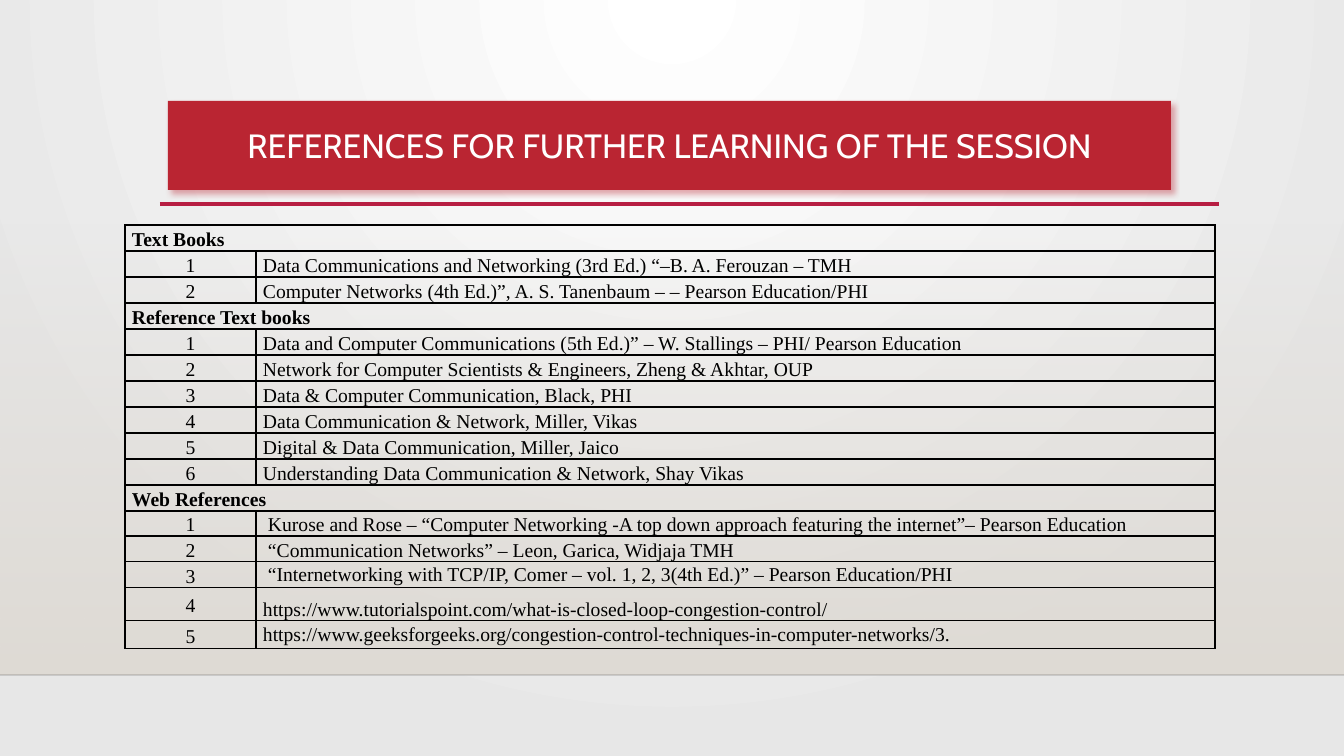
"""Build the slide that lists references for further learning."""
from pptx import Presentation
from pptx.dml.color import RGBColor
from pptx.enum.shapes import MSO_CONNECTOR, MSO_SHAPE
from pptx.enum.text import MSO_ANCHOR, MSO_AUTO_SIZE, PP_ALIGN
from pptx.oxml import parse_xml
from pptx.oxml.ns import nsdecls, qn
from pptx.util import Emu, Pt

WHITE = RGBColor(0xFF, 0xFF, 0xFF)
BLACK = RGBColor(0, 0, 0)
NEAR_BLACK = RGBColor(0, 0, 1)
SILVER = RGBColor(0xE7, 0xE7, 0xE7)
SAND = RGBColor(0xDF, 0xDB, 0xD5)
RED = RGBColor(0xBA, 0x25, 0x32)
CRIMSON = RGBColor(0xB7, 0x1E, 0x42)

DOWNWARD = '<a:lin ang="5400000" scaled="0"/>'
FROM_TOP = '<a:path path="circle"><a:fillToRect l="43000" t="0" r="43000" b="100000"/></a:path>'

SECTIONS = {
    "Text Books": [
        "Data Communications and Networking (3rd Ed.) “–B. A. Ferouzan – TMH",
        "Computer Networks (4th Ed.)”, A. S. Tanenbaum – – Pearson Education/PHI",
    ],
    "Reference Text books": [
        "Data and Computer Communications (5th Ed.)” – W. Stallings – PHI/ Pearson Education",
        "Network for Computer Scientists & Engineers, Zheng & Akhtar, OUP",
        "Data & Computer Communication, Black, PHI",
        "Data Communication & Network, Miller, Vikas",
        "Digital & Data Communication, Miller, Jaico",
        "Understanding Data Communication & Network, Shay Vikas",
    ],
    "Web References": [
        "Kurose and Rose – “Computer Networking -A top down approach featuring the internet”– Pearson Education",
        "“Communication Networks” – Leon, Garica, Widjaja TMH",
        "“Internetworking with TCP/IP, Comer – vol. 1, 2, 3(4th Ed.)” – Pearson Education/PHI",
        "https://www.tutorialspoint.com/what-is-closed-loop-congestion-control/",
        "https://www.geeksforgeeks.org/congestion-control-techniques-in-computer-networks/3.",
    ],
}
ROW_HEIGHTS = [26] * 11 + [25, 26, 26, 33, 28]
COLUMN_WIDTHS = [131, 959]
NORMAL = {"line_spacing": 1.15, "space_after": Pt(10)}
SPACING = {13: {}, 14: {"line_spacing": 1.5}, 15: {}}
INDENTED_ROWS = (11, 12, 13)


def px(*lengths):
    """Turn pixel lengths into EMU."""
    return [Emu(round(length * 914400 / 100.8)) for length in lengths]


def assign(target, values):
    """Set every attribute named in values on target."""
    for name, value in values.items():
        setattr(target, name, value)


class SlideBuilder:
    """Holds the style and the page, and adds each kind of element."""

    heading_font = {"name": "Cabin", "size": Pt(24), "bold": False}
    table_font = {"name": "Times New Roman", "size": Pt(14)}

    def __init__(self, deck):
        """Add a title-only page to the deck."""
        self.page = deck.slides.add_slide(deck.slide_layouts[5])

    def paragraph(self, frame, text, color, font, layout):
        """Put one formatted paragraph into a text frame."""
        para = frame.paragraphs[0]
        assign(para, layout)
        span = para.add_run()
        span.text = text
        assign(span.font, font)
        span.font.color.rgb = color

    def gradient(self, parent, stops, direction):
        """Put a gradient in place of the empty fill of parent."""
        marks = "".join(
            f'<a:gs pos="{place}"><a:srgbClr val="{color}"><a:alpha val="{alpha}"/></a:srgbClr></a:gs>'
            for place, color, alpha in stops)
        fill = parse_xml(f'<a:gradFill {nsdecls("a")} rotWithShape="1">'
                         f'<a:gsLst>{marks}</a:gsLst>{direction}</a:gradFill>')
        parent.replace(parent.find(qn("a:noFill")), fill)

    def background(self, inner, outer):
        """Paint the page with a radial gradient."""
        self.page.background.fill.background()
        parent = self.page.element.xpath(".//p:bgPr")[0]
        self.gradient(parent, [(0, inner, 100000), (100000, outer, 100000)], FROM_TOP)

    def panel(self, left, top, width, height, color):
        """Add a rectangle that fades in downwards."""
        box = self.page.shapes.add_shape(MSO_SHAPE.RECTANGLE, *px(left, top, width, height))
        box.shadow.inherit = False
        box.fill.background()
        box.line.fill.background()
        self.gradient(box.element.spPr, [(0, color, 0), (100000, color, 100000)], DOWNWARD)

    def rule(self, left, right, y, color, width, alpha=100):
        """Add a horizontal line."""
        line = self.page.shapes.add_connector(MSO_CONNECTOR.STRAIGHT, *px(left, y, right, y))
        line.line.width = Pt(width)
        line.line.color.rgb = color
        shade = line.element.spPr.find(".//" + qn("a:srgbClr"))
        shade.append(parse_xml(f'<a:alpha {nsdecls("a")} val="{alpha * 1000}"/>'))
        line.element.spPr.append(parse_xml(f'<a:effectLst {nsdecls("a")}/>'))

    def title(self, text, left, top, width, height, color):
        """Turn the title placeholder into a rounded banner."""
        banner = self.page.shapes.title
        assign(banner, dict(zip(("left", "top", "width", "height"), px(left, top, width, height))))
        properties = banner.element.spPr
        properties.append(parse_xml(
            f'<a:prstGeom {nsdecls("a")} prst="roundRect"><a:avLst/></a:prstGeom>'))
        banner.fill.solid()
        banner.fill.fore_color.rgb = color
        banner.line.fill.background()
        properties.append(parse_xml(
            f'<a:effectLst {nsdecls("a")}><a:outerShdw blurRad="50800" dist="38100" dir="2700000">'
            f'<a:srgbClr val="{color}"><a:alpha val="40000"/></a:srgbClr></a:outerShdw></a:effectLst>'))
        assign(banner.text_frame, {"word_wrap": True, "auto_size": MSO_AUTO_SIZE.NONE,
                                   "vertical_anchor": MSO_ANCHOR.MIDDLE})
        self.paragraph(banner.text_frame, text, WHITE, self.heading_font,
                       {"alignment": PP_ALIGN.CENTER})

    def cell(self, cell, text, bold=False, indent=7, **layout):
        """Fill one table cell with text."""
        margins = dict(zip(("margin_left", "margin_top", "margin_right", "margin_bottom"),
                           px(indent, 0, 7, 0)))
        assign(cell, {**margins, "vertical_anchor": MSO_ANCHOR.MIDDLE})
        self.paragraph(cell.text_frame, text, BLACK, {**self.table_font, "bold": bold}, layout)

    def table(self, left, top, widths, heights, sections):
        """Add the bordered table with a merged heading row per section."""
        frame = self.page.shapes.add_table(
            len(heights), len(widths), *px(left, top, sum(widths), sum(heights)))
        grid = frame.table
        assign(grid, {"first_row": False, "horz_banding": False})
        for column, width in zip(grid.columns, px(*widths)):
            column.width = width
        for row, height in zip(grid.rows, px(*heights)):
            row.height = height
        for cell in grid.iter_cells():
            for side in ("lnL", "lnR", "lnT", "lnB"):
                cell._tc.get_or_add_tcPr().append(parse_xml(
                    f'<a:{side} {nsdecls("a")} w="12700"><a:solidFill><a:srgbClr val="{BLACK}"/>'
                    f'</a:solidFill></a:{side}>'))
            cell.fill.background()
        row = 0
        for heading, entries in sections.items():
            grid.cell(row, 0).merge(grid.cell(row, 1))
            self.cell(grid.cell(row, 0), heading, bold=True, **NORMAL)
            for number, entry in enumerate(entries, 1):
                row += 1
                self.cell(grid.cell(row, 0), str(number), alignment=PP_ALIGN.CENTER, **NORMAL)
                self.cell(grid.cell(row, 1), entry, indent=12 if row in INDENTED_ROWS else 7,
                          **SPACING.get(row, NORMAL))
            row += 1


def main():
    """Build and save the deck."""
    deck = Presentation()
    deck.slide_width, deck.slide_height = px(1344, 756)
    slide = SlideBuilder(deck)
    slide.background(WHITE, SILVER)
    slide.panel(0, 223, 1344, 452, SAND)
    slide.rule(0, 1344, 675, NEAR_BLACK, 1, alpha=20)
    slide.rule(160, 1219, 204, CRIMSON, 2.5)
    slide.title("REFERENCES FOR FURTHER LEARNING OF THE SESSION", 168, 101, 1003, 89, RED)
    slide.table(125, 225, COLUMN_WIDTHS, ROW_HEIGHTS, SECTIONS)
    deck.save("out.pptx")


if __name__ == "__main__":
    main()
